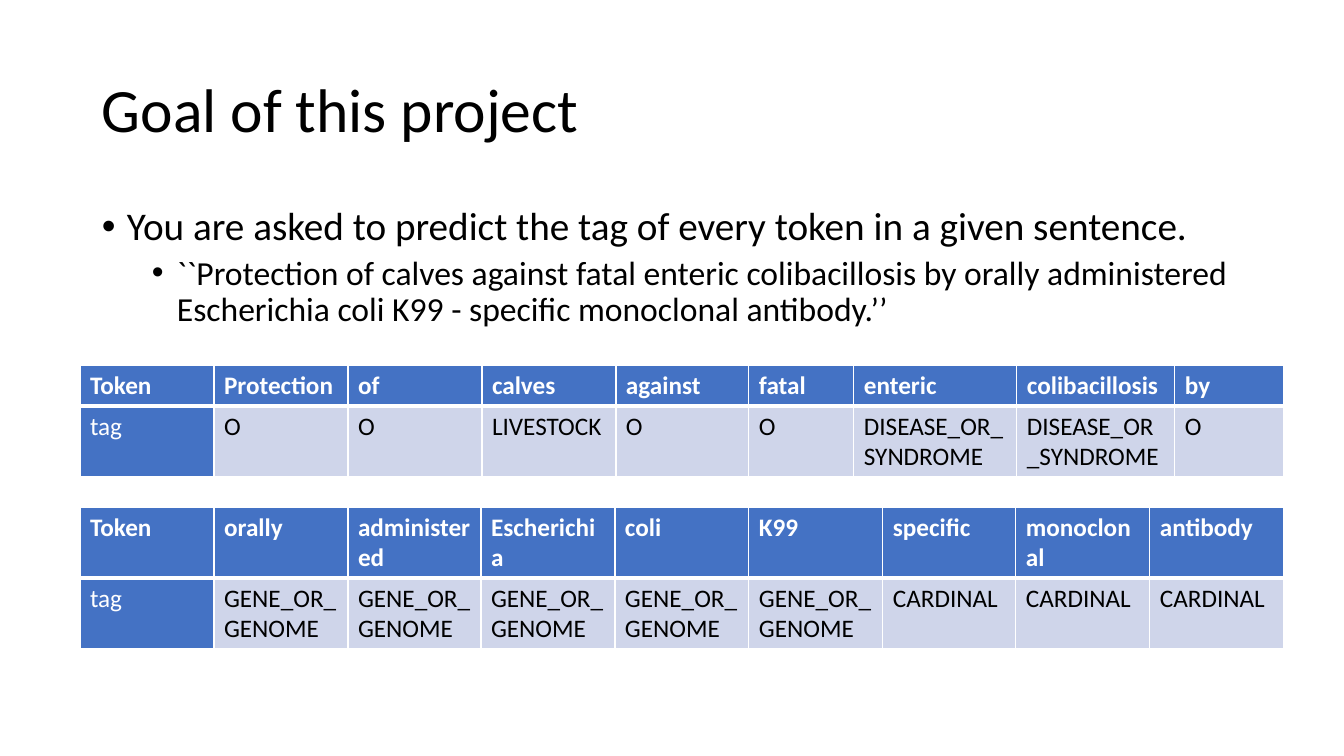
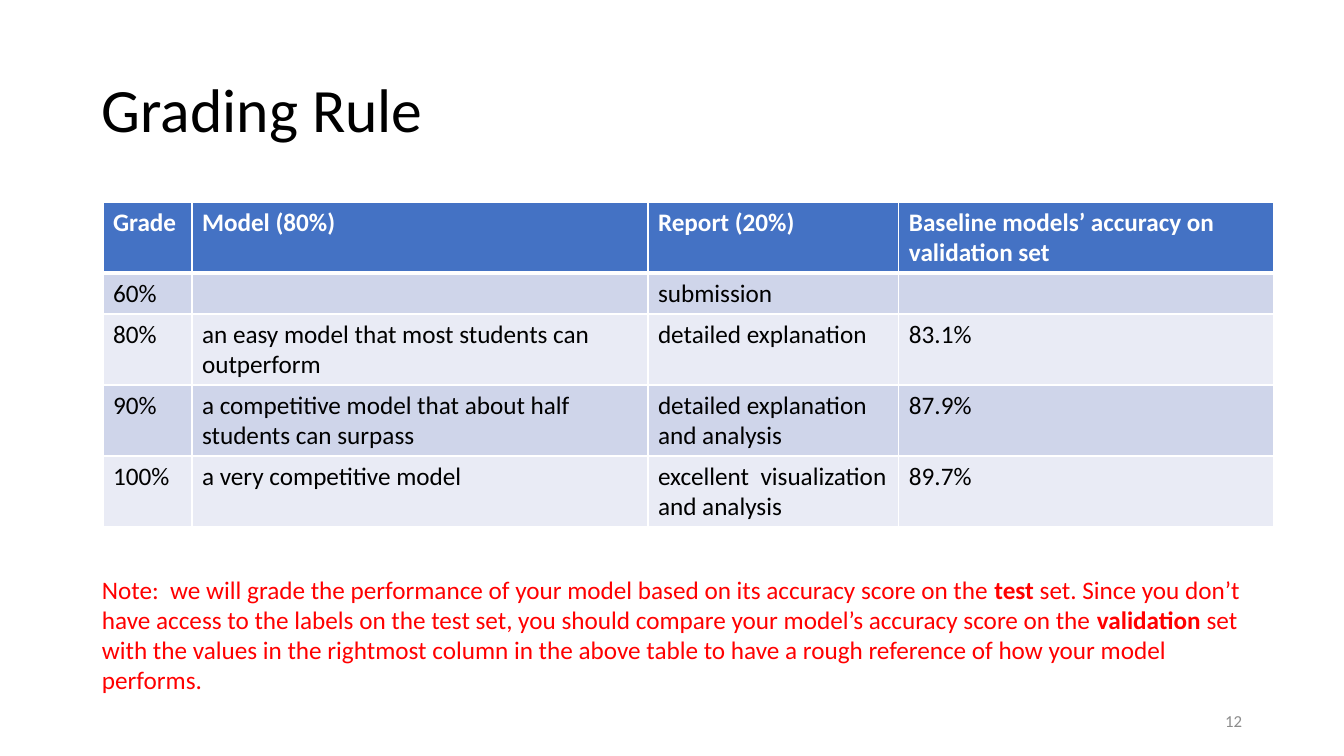
from dataclasses import dataclass
from itertools import pairwise
from typing import Sequence

from lxml.etree import SubElement
from pptx import Presentation
from pptx.dml.color import RGBColor
from pptx.enum.text import MSO_ANCHOR, PP_ALIGN
from pptx.oxml.ns import qn
from pptx.util import Emu, Pt

EMU_PER_INCH = 914400
PIXELS_PER_INCH = 100.8


def px(pixels: float) -> Emu:
    return Emu(round(pixels * EMU_PER_INCH / PIXELS_PER_INCH))


# Colours and type sizes
@dataclass(frozen=True)
class Theme:
    font: str = "Calibri"
    ink: str = "000000"
    white: str = "FFFFFF"
    header: str = "4472C4"
    bands: tuple[str, str] = ("CFD5EA", "E9EBF5")
    alert: str = "FF0000"
    muted: str = "8C8C8C"
    title_size: int = 44
    bullet_sizes: tuple[int, int] = (28, 24)
    bullet_gaps: tuple[int, int] = (10, 5)
    text_size: int = 18
    footer_size: int = 12
    thin_rule: int = 1
    thick_rule: int = 3
    line_spacing: float = 0.9


THEME = Theme()


@dataclass(frozen=True)
class Box:
    left: int
    top: int
    width: int
    height: int


@dataclass(frozen=True)
class Span:
    text: str
    bold: bool = False


@dataclass(frozen=True)
class Bullet:
    text: str
    level: int = 0


@dataclass(frozen=True)
class Grid:
    left: int
    top: int
    columns: Sequence[int]
    heights: Sequence[int]
    rows: Sequence[Sequence[str]]
    header_column: bool = False


PAGE_WIDTH, PAGE_HEIGHT = 1344, 756
TITLE_BOX = Box(92, 40, 1159, 146)
BODY_BOX = Box(92, 202, 1159, 480)
NOTE_BOX = Box(92, 569, 1181, 132)
NUMBER_BOX = Box(950, 701, 302, 40)
ONE_LINE, TWO_LINES = 41, 71
BULLET_HANG, BULLET_STEP = 25, 50


# Text
def style_font(para, size: int, color: str, bold: bool = False) -> None:
    font = para.font
    font.name, font.size, font.bold = THEME.font, Pt(size), bold
    font.color.rgb = RGBColor.from_string(color)


def add_text_frame(page, box: Box, anchor=MSO_ANCHOR.TOP):
    shape = page.shapes.add_textbox(px(box.left), px(box.top), px(box.width), px(box.height))
    frame = shape.text_frame
    frame.word_wrap = True
    frame.vertical_anchor = anchor
    return frame


def next_para(frame, index: int):
    return frame.add_paragraph() if index else frame.paragraphs[0]


def add_title(page, text: str) -> None:
    para = add_text_frame(page, TITLE_BOX, MSO_ANCHOR.MIDDLE).paragraphs[0]
    para.text = text
    para.line_spacing = THEME.line_spacing
    style_font(para, THEME.title_size, THEME.ink)


def add_page_number(page, number: int) -> None:
    para = add_text_frame(page, NUMBER_BOX, MSO_ANCHOR.MIDDLE).paragraphs[0]
    para.text = str(number)
    para.alignment = PP_ALIGN.RIGHT
    style_font(para, THEME.footer_size, THEME.muted)


def add_bullets(page, box: Box, bullets: Sequence[Bullet]) -> None:
    frame = add_text_frame(page, box)
    for index, bullet in enumerate(bullets):
        para = next_para(frame, index)
        para.text, para.level = bullet.text, bullet.level
        para.line_spacing = THEME.line_spacing
        para.space_before = Pt(THEME.bullet_gaps[bullet.level])
        properties = para._p.get_or_add_pPr()
        properties.set("marL", str(px(BULLET_HANG + BULLET_STEP * bullet.level)))
        properties.set("indent", str(-px(BULLET_HANG)))
        SubElement(properties, qn("a:buFont")).set("typeface", "Arial")
        SubElement(properties, qn("a:buChar")).set("char", "•")
        style_font(para, THEME.bullet_sizes[bullet.level], THEME.ink)


def add_note(page, box: Box, lines: Sequence[Sequence[Span]]) -> None:
    frame = add_text_frame(page, box)
    for index, spans in enumerate(lines):
        para = next_para(frame, index)
        style_font(para, THEME.text_size, THEME.alert)
        for span in spans:
            run = para.add_run()
            run.text = span.text
            if span.bold:
                run.font.bold = True


# Tables
def equal_columns(width: int, count: int) -> list[int]:
    edges = [round(width * step / count) for step in range(count + 1)]
    return [right - left for left, right in pairwise(edges)]


def add_borders(cell, top: int, bottom: int) -> None:
    properties = cell._tc.get_or_add_tcPr()
    sides = {"L": THEME.thin_rule, "R": THEME.thin_rule, "T": top, "B": bottom}
    for side, points in sides.items():
        line = SubElement(properties, qn(f"a:ln{side}"))
        line.set("w", str(Pt(points)))
        fill = SubElement(line, qn("a:solidFill"))
        SubElement(fill, qn("a:srgbClr")).set("val", THEME.white)


def add_grid(page, grid: Grid) -> None:
    table = page.shapes.add_table(
        len(grid.rows), len(grid.columns), px(grid.left), px(grid.top),
        px(sum(grid.columns)), px(sum(grid.heights))).table
    table.horz_banding = False
    table.first_col = grid.header_column
    for column, width in zip(table.columns, grid.columns):
        column.width = px(width)
    for row, height in zip(table.rows, grid.heights):
        row.height = px(height)
    for row_index, texts in enumerate(grid.rows):
        # The rule below the header belongs to both rows it separates
        top = THEME.thick_rule if row_index == 1 else THEME.thin_rule
        bottom = THEME.thick_rule if row_index == 0 else THEME.thin_rule
        for column_index, text in enumerate(texts):
            is_header = row_index == 0 or (grid.header_column and column_index == 0)
            fill = THEME.header if is_header else THEME.bands[(row_index - 1) % 2]
            cell = table.cell(row_index, column_index)
            add_borders(cell, top, bottom)
            cell.fill.solid()
            cell.fill.fore_color.rgb = RGBColor.from_string(fill)
            para = cell.text_frame.paragraphs[0]
            if text:
                para.text = text
            style_font(para, THEME.text_size, THEME.white if is_header else THEME.ink,
                       bold=row_index == 0)


# Content
GOAL_BULLETS = (
    Bullet("You are asked to predict the tag of every token in a given sentence."),
    Bullet("``Protection of calves against fatal enteric colibacillosis by orally "
           "administered Escherichia coli K99 - specific monoclonal antibody.’’", level=1),
)
DISEASE, GENE, CARDINAL = "DISEASE_OR_SYNDROME", "GENE_OR_GENOME", "CARDINAL"
TAG_GRIDS = (
    Grid(80, 365, [134, 134, 134, 134, 133, 105, 163, 158, 109], [ONE_LINE, TWO_LINES], (
        ("Token", "Protection", "of", "calves", "against", "fatal", "enteric",
         "colibacillosis", "by"),
        ("tag", "O", "O", "LIVESTOCK", "O", "O", DISEASE, DISEASE, "O"),
    ), header_column=True),
    Grid(80, 507, equal_columns(1204, 9), [TWO_LINES, TWO_LINES], (
        ("Token", "orally", "administered", "Escherichia", "coli", "K99", "specific",
         "monoclonal", "antibody"),
        ("tag", *[GENE] * 5, *[CARDINAL] * 3),
    ), header_column=True),
)
GRADING_GRID = Grid(
    103, 202, [89, 456, 251, 375], [TWO_LINES, ONE_LINE, TWO_LINES, TWO_LINES, TWO_LINES], (
        ("Grade", "Model (80%)", "Report (20%)", "Baseline models’ accuracy on validation set"),
        ("60%", "", "submission", ""),
        ("80%", "an easy model that most students can outperform",
         "detailed explanation", "83.1%"),
        ("90%", "a competitive model that about half students can surpass",
         "detailed explanation and analysis", "87.9%"),
        ("100%", "a very competitive model", "excellent  visualization and analysis", "89.7%"),
    ))
GRADING_NOTE = (
    (Span("Note:  we will grade the performance of your model based on its accuracy "
          "score on the "),
     Span("test", bold=True),
     Span(" set. Since you don’t")),
    (Span("have access to the labels on the test set, you should compare your model’s "
          "accuracy score on the "),
     Span("validation", bold=True),
     Span(" set with the values in the rightmost column in the above table to have a "
          "rough reference of how your model performs.")),
)


# Pages
def build_goal_page(page) -> None:
    add_title(page, "Goal of this project")
    add_bullets(page, BODY_BOX, GOAL_BULLETS)
    for grid in TAG_GRIDS:
        add_grid(page, grid)


def build_grading_page(page) -> None:
    add_title(page, "Grading Rule")
    add_grid(page, GRADING_GRID)
    add_note(page, NOTE_BOX, GRADING_NOTE)
    add_page_number(page, 12)


deck = Presentation()
deck.slide_width, deck.slide_height = px(PAGE_WIDTH), px(PAGE_HEIGHT)
blank_layout = deck.slide_layouts[6]
for build_page in (build_goal_page, build_grading_page):
    build_page(deck.slides.add_slide(blank_layout))
deck.save("out.pptx")
